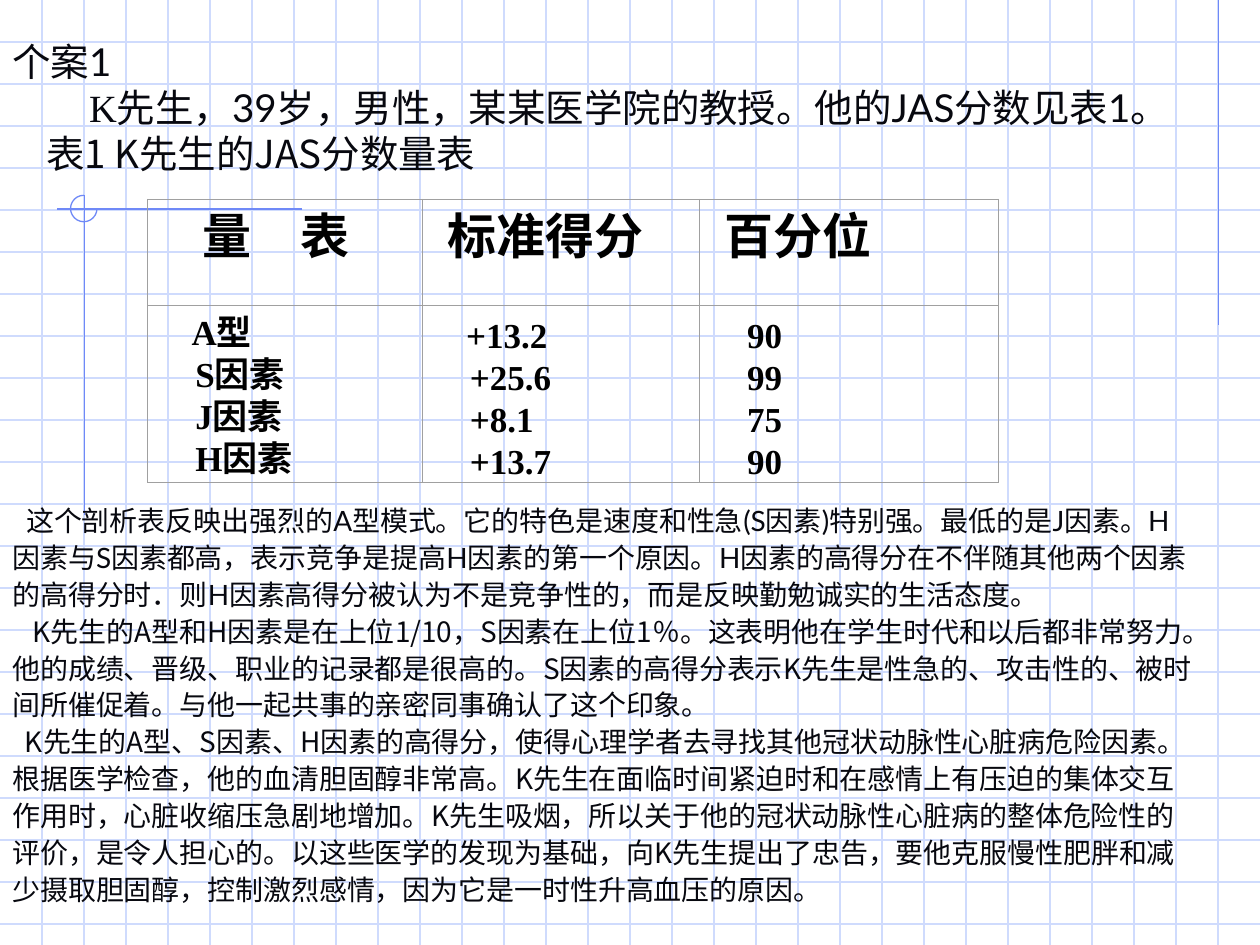
from itertools import groupby
from lxml.etree import SubElement
from pptx import Presentation
from pptx.dml.color import RGBColor as Rgb
from pptx.enum.shapes import MSO_CONNECTOR as Link, MSO_SHAPE as Form
from pptx.enum.text import PP_ALIGN as Align
from pptx.oxml.ns import qn
from pptx.util import Inches, Pt

HUES = {"grid": "CFDBFD", "mark": "6F89F7", "edge": "A0A0A0", "ink": "07080F", "cell": "000000"}
SERIF, LATO, SANS = "Times New Roman", "Lato", "Noto Sans CJK SC"

CASE = "岁，男性，某某医学院的教授。他的JAS分数见表1。"
HEADS = [(0.34, "量　表"), (0.1, "标准得分"), (0.1, "百分位")]
SCORES = [
    (0.25, ["A型", "S因素", "J因素", "H因素"]),
    (0.25, ["+13.2", "+25.6", "+8.1", "+13.7"]),
    (0.28, ["90", "99", "75", "90"]),
]
TRAITS = (
    "这个剖析表反映出强烈的A型模式。它的特色是速度和性急(S因素)特别强。最低的是J因素。"
    "H因素与S因素都高，表示竞争是提高H因素的第一个原因。"
    "H因素的高得分在不伴随其他两个因素的高得分时．则H因素高得分被"
)
NOTE = "认为不是竞争性的，而是反映勤勉诚实的生活态度。"
RANKS = (
    "K先生的A型和H因素是在上位1/10，S因素在上位1％。这表明他在学生时代和以后都非常努力。"
    "他的成绩、晋级、职业的记录都是很高的。S因素的高得分表示K先生是性急的、攻击性的、"
    "被时间所催促着。与他一起共事的亲密同事确认了这个印象。"
)
RISKS = (
    "K先生的A型、S因素、H因素的高得分，使得心理学者去寻找其他冠状动脉性心脏病危险因素。"
    "根据医学检查，他的血清胆固醇非常高。K先生在面临时间紧迫时和在感情上有压迫的集体"
    "交互作用时，心脏收缩压急剧地增加。K先生吸烟，所以关于他的冠状动脉性心脏病的整体"
    "危险性的评价，是令人担心的。以这些医学的发现为基础，向K先生提出了忠告，"
    "要他克服慢性肥胖和减少摄取胆固醇，控制激烈感情，因为它是一时性升高血压的原因。"
)


def mixed(words):
    return [("".join(part), LATO if plain else SERIF)
            for plain, part in groupby(words, str.isascii)]


def write(frame, lines, size, hue="ink", bold=False, align=None, space=None):
    frame.word_wrap = True
    for num, (indent, runs) in enumerate(lines):
        para = frame.add_paragraph() if num else frame.paragraphs[0]
        para.alignment = align
        para.line_spacing = space
        para._p.get_or_add_pPr().set("indent", str(Inches(indent)))
        for words, face in runs:
            run = para.add_run()
            run.text = words
            font = run.font
            font.size, font.bold, font.name = Pt(size), bold, face
            font.color.rgb = Rgb.from_string(HUES[hue])
            SubElement(run._r.get_or_add_rPr(), qn("a:ea"), typeface=SANS)


def add_text(slide, box, lines, **style):
    shape = slide.shapes.add_textbox(*map(Inches, box))
    write(shape.text_frame, lines, **style)


def add_line(slide, ends, hue):
    line = slide.shapes.add_connector(Link.STRAIGHT, *map(Inches, ends))
    line.line.color.rgb = Rgb.from_string(HUES[hue])
    line.line.width = Pt(0.75)
    SubElement(line._element.spPr, qn("a:effectLst"))


def add_grid(slide, box):
    left, top, wide, high = box
    for num in range(1, 23):
        y = top + num / 3
        add_line(slide, (left, y, left + wide, y), "grid")
    for num in range(1, 30):
        x = left + num / 3
        add_line(slide, (x, top, x, top + high), "grid")


def add_marks(slide, box):
    left, top, wide, high = box
    add_line(slide, (left + 9.67, top, left + 9.67, top + 2.58), "mark")
    add_line(slide, (left + 2.4, top + 1.66, left + 0.45, top + 1.66), "mark")
    add_line(slide, (left + 0.67, top + 1.55, left + 0.67, top + 4.09), "mark")
    arc = slide.shapes.add_shape(
        Form.ARC, *map(Inches, (left + 0.56, top + 1.55, 0.21, 0.21)))
    arc.adjustments[0], arc.adjustments[1] = 0, 162
    arc.shadow.inherit = False
    arc.fill.background()
    arc.line.color.rgb = Rgb.from_string(HUES["mark"])
    arc.line.width = Pt(0.75)


def frame_cell(cell, top):
    props = cell._tc.get_or_add_tcPr()
    for side in ("lnL", "lnR", "lnT", "lnB"):
        edge = SubElement(props, qn("a:" + side), w=str(Pt(0.25)))
        fill = SubElement(edge, qn("a:solidFill"))
        SubElement(fill, qn("a:srgbClr"), val=HUES["edge"])
    cell.fill.background()
    cell.margin_top, cell.margin_bottom = Inches(top), 0


def add_scores(slide, box):
    table = slide.shapes.add_table(2, 3, *map(Inches, box)).table
    table.first_row = table.horz_banding = False
    for col, wide in zip(table.columns, (2.18, 2.2, 2.37)):
        col.width = Inches(wide)
    for row, high in zip(table.rows, (0.84, 1.41)):
        row.height = Inches(high)
    for num, ((shift, head), (first, items)) in enumerate(zip(HEADS, SCORES)):
        rows = [(0.28 if at else first, [(item, SERIF)]) for at, item in enumerate(items)]
        parts = (([(shift, [(head, SERIF)])], 28, 36, 0.05), (rows, 20, 24, 0.07))
        for row, (lines, size, pitch, top) in enumerate(parts):
            cell = table.cell(row, num)
            frame_cell(cell, top)
            write(cell.text_frame, lines, size, hue="cell", bold=True,
                  align=Align.JUSTIFY, space=Pt(pitch))


def add_intro(slide, box):
    lines = [
        (0, mixed("个案1")),
        (0.61, [("K先生，", SERIF)] + mixed("39" + CASE)),
        (0.27, [("表1 K先生的JAS分数量表", SANS)]),
    ]
    add_text(slide, box, lines, size=22, align=Align.JUSTIFY)


def add_study(slide, box):
    lines = [
        (0.11, mixed(TRAITS) + [(NOTE, SANS)]),
        (0.16, [(RANKS, SANS)]),
        (0.1, [(RISKS, SANS)]),
    ]
    add_text(slide, box, lines, size=16, space=1.1)


def main():
    deck = Presentation()
    deck.slide_width, deck.slide_height = Inches(10), Inches(7.5)
    slide = deck.slides.add_slide(deck.slide_layouts[6])
    page = (0, 0, 10, 7.5)
    add_grid(slide, page)
    add_marks(slide, page)
    add_intro(slide, (0, 0.25, 10, 1.57))
    add_scores(slide, (1.17, 1.58, 6.75, 2.25))
    add_study(slide, (0, 3.92, 9.57, 3.32))
    deck.save("out.pptx")


if __name__ == "__main__":
    main()
